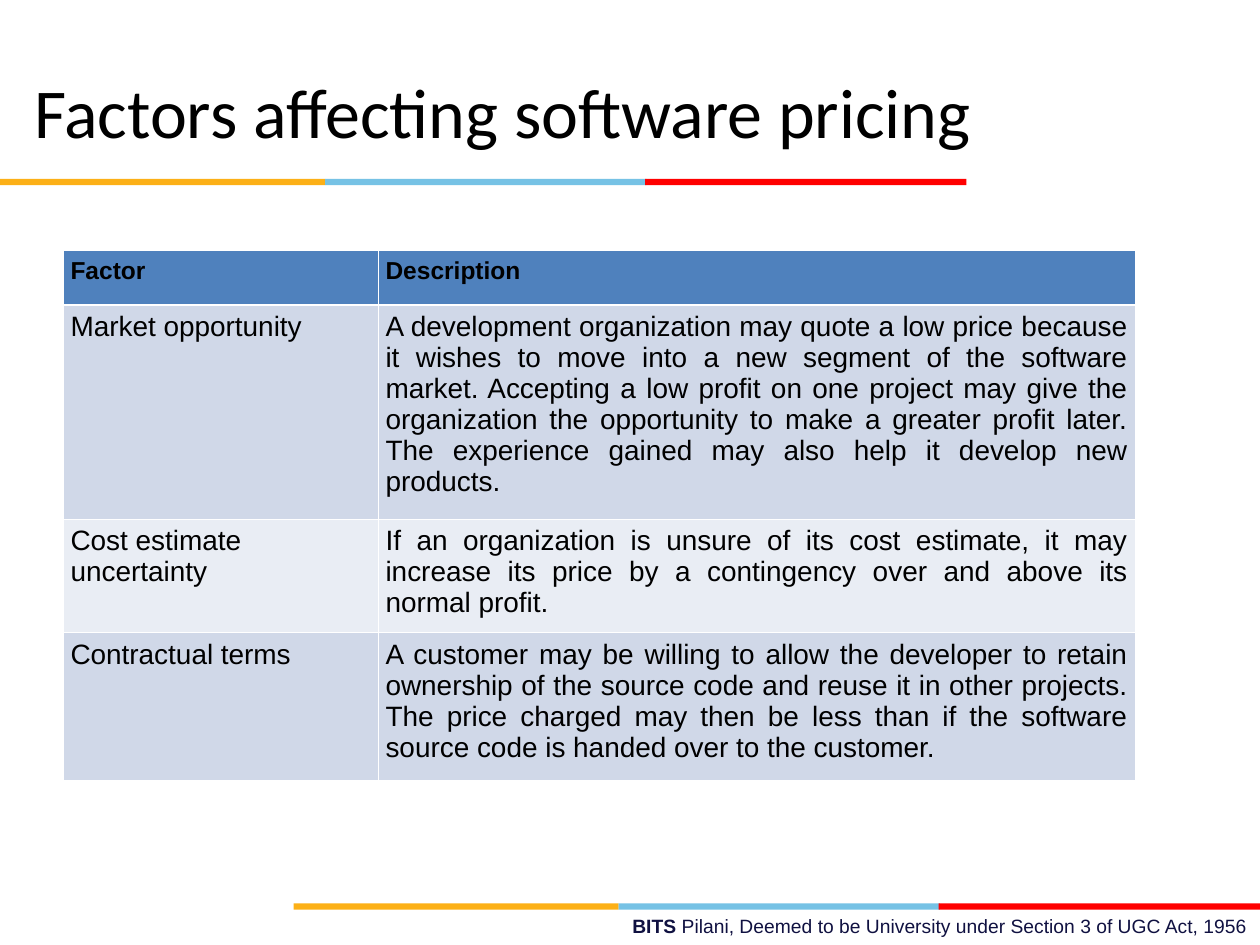
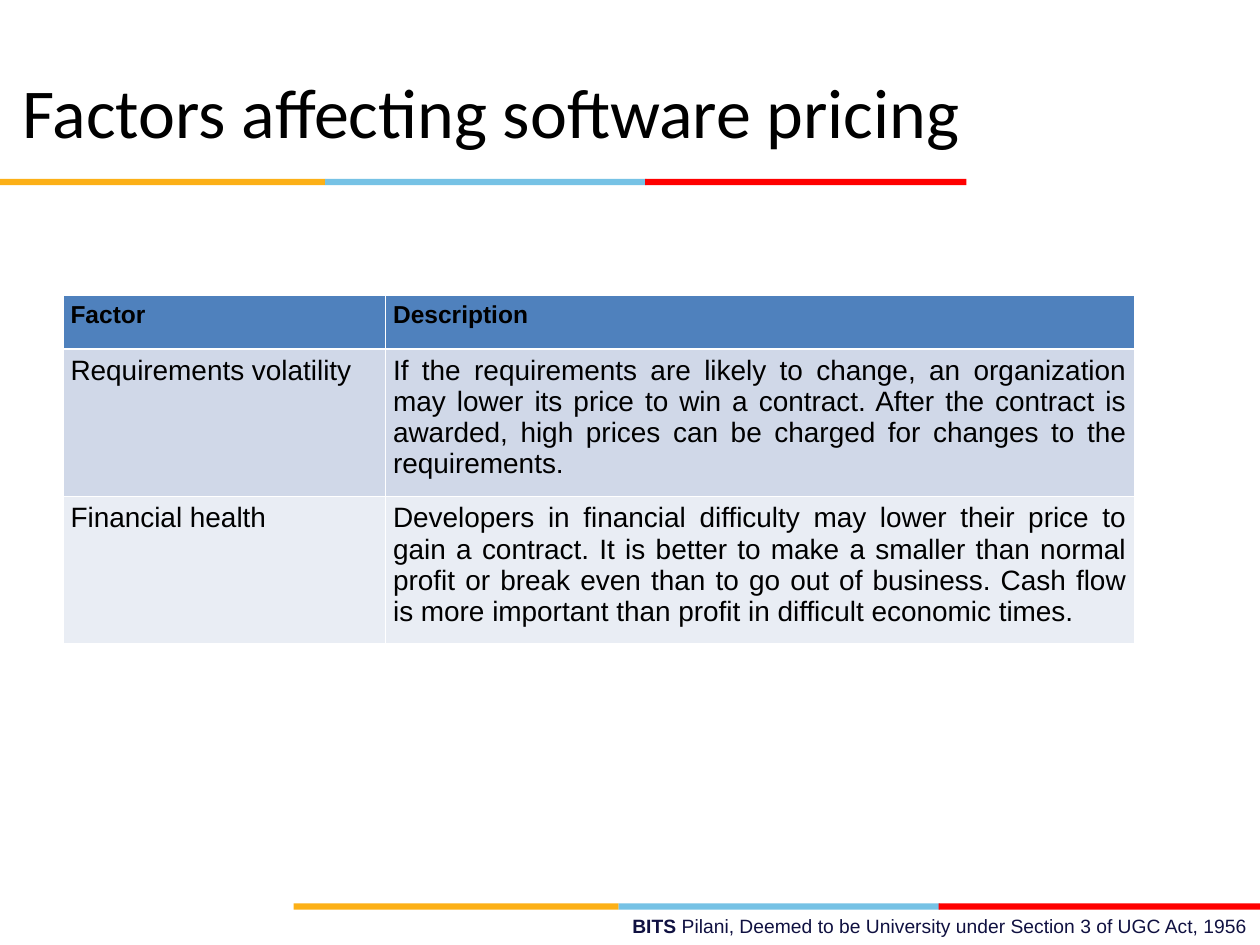
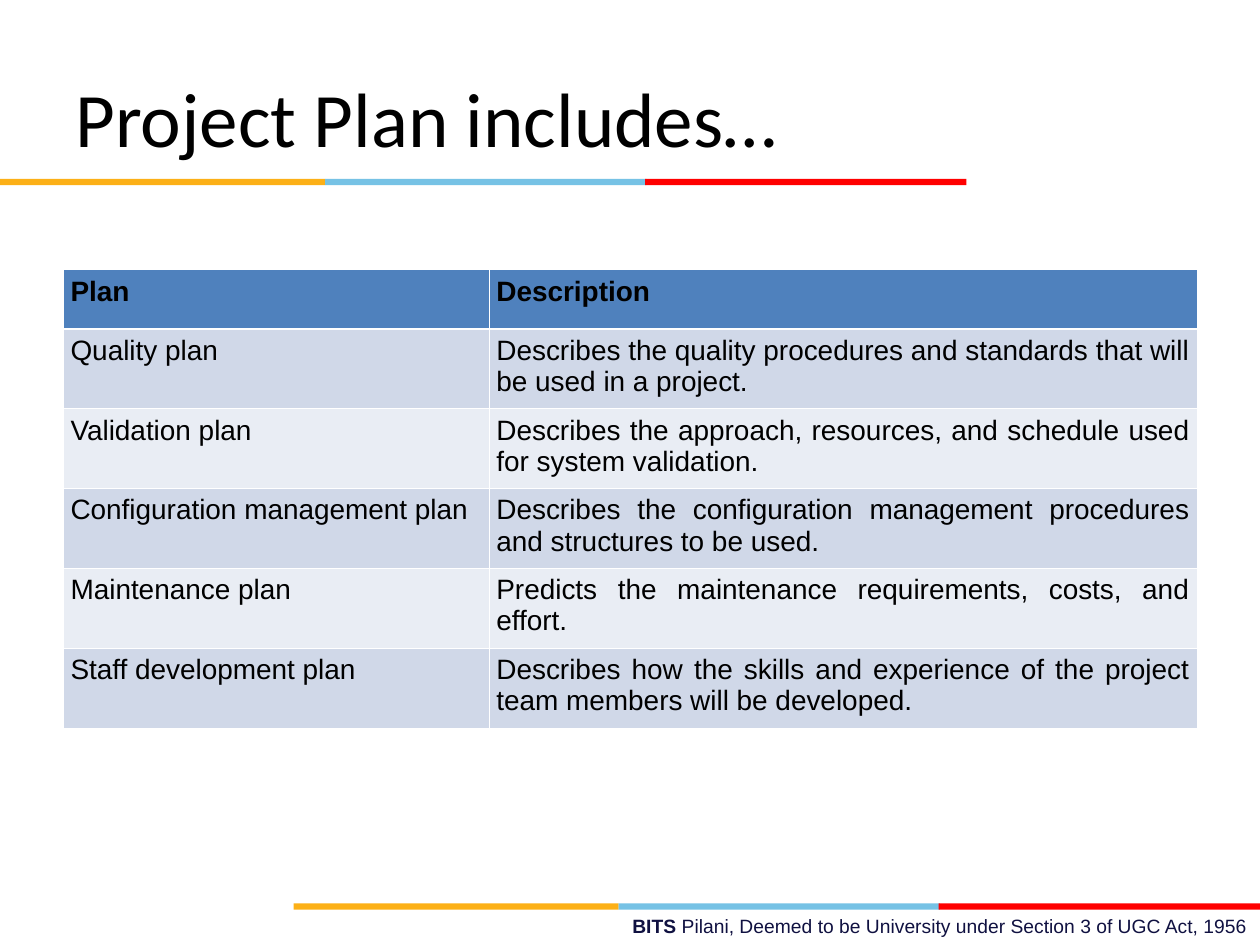
from dataclasses import dataclass

from lxml import etree
from pptx import Presentation
from pptx.dml.color import RGBColor
from pptx.enum import shapes, text
from pptx.oxml import ns
from pptx.util import Inches, Pt

BLACK = RGBColor(0x00, 0x00, 0x00)
WHITE = RGBColor(0xFF, 0xFF, 0xFF)
NAVY = RGBColor(0x10, 0x11, 0x41)
ORANGE = RGBColor(0xFC, 0xB0, 0x17)
SKY = RGBColor(0x76, 0xC2, 0xE5)
RED = RGBColor(0xFF, 0x00, 0x00)
HEADER_BLUE = RGBColor(0x4F, 0x81, 0xBD)
ROW_FILLS = (RGBColor(0xD0, 0xD8, 0xE8), RGBColor(0xE9, 0xED, 0xF4))

BODY_FONT = "Arial"
TITLE_FONT = "Calibri"
BODY_SIZE = 16
THIN, THICK = Pt(0.45), Pt(1.47)
TITLE_ONLY = 5


@dataclass(frozen=True)
class Stripe:
    offset: float
    width: float
    color: RGBColor


@dataclass(frozen=True)
class TableSlide:
    title: str
    title_left: float
    title_top: float
    title_size: int
    table_top: float
    header_size: int
    columns: tuple[float, float]
    heights: tuple[float, ...]
    rows: tuple[tuple[str, str], ...]


STRIPES = (
    Stripe(0, 2.58, ORANGE),
    Stripe(2.58, 2.55, SKY),
    Stripe(5.12, 2.55, RED),
)

SLIDES = (
    TableSlide(
        "Factors affecting software pricing", 0.17, 0.25, 40,
        1.99, 14, (2.5, 6.01), (0.43, 1.7, 0.9, 1.17),
        (
            ("Factor", "Description"),
            ("Market opportunity",
             "A development organization may quote a low price because it wishes to move "
             "into a new segment of the software market. Accepting a low profit on one "
             "project may give the organization the opportunity to make a greater profit "
             "later. The experience gained may also help it develop new products."),
            ("Cost estimate uncertainty",
             "If an organization is unsure of its cost estimate, it may increase its price "
             "by a contingency over and above its normal profit."),
            ("Contractual terms",
             "A customer may be willing to allow the developer to retain ownership of the "
             "source code and reuse it in other projects. The price charged may then be "
             "less than if the software source code is handed over to the customer."),
        ),
    ),
    TableSlide(
        "Factors affecting software pricing", 0.08, 0.25, 40,
        2.34, 14, (2.56, 5.94), (0.43, 1.17, 1.17),
        (
            ("Factor", "Description"),
            ("Requirements volatility",
             "If the requirements are likely to change, an organization may lower its price "
             "to win a contract. After the contract is awarded, high prices can be charged "
             "for changes to the requirements."),
            ("Financial health",
             "Developers in financial difficulty may lower their price to gain a contract. "
             "It is better to make a smaller than normal profit or break even than to go "
             "out of business. Cash flow is more important than profit in difficult "
             "economic times."),
        ),
    ),
    TableSlide(
        "Project Plan includes…", 0.5, 0.3, 44,
        2.14, 16, (3.38, 5.62), (0.47,) + (0.63,) * 5,
        (
            ("Plan", "Description"),
            ("Quality plan",
             "Describes the quality procedures and standards that will be used in a project."),
            ("Validation plan",
             "Describes the approach, resources, and schedule used for system validation."),
            ("Configuration management plan",
             "Describes the configuration management procedures and structures to be used."),
            ("Maintenance plan",
             "Predicts the maintenance requirements, costs, and effort."),
            ("Staff development plan",
             "Describes how the skills and experience of the project team members will be "
             "developed."),
        ),
    ),
)


def style_font(font, name: str, size: int, color: RGBColor, bold: bool = False) -> None:
    font.name = name
    font.size = Pt(size)
    font.color.rgb = color
    font.bold = bold


def add_stripes(page, left: float, top: float) -> None:
    group = page.shapes.add_group_shape()
    for stripe in STRIPES:
        bar = group.shapes.add_shape(
            shapes.MSO_SHAPE.RECTANGLE, Inches(left + stripe.offset), Inches(top),
            Inches(stripe.width), Inches(0.05))
        bar.shadow.inherit = False
        bar.fill.solid()
        bar.fill.fore_color.rgb = stripe.color
        bar.line.fill.background()


def add_footer(page) -> None:
    box = page.shapes.add_textbox(Inches(3.58), Inches(7.21), Inches(6.42), Inches(0.29))
    box.text_frame.word_wrap = True
    para = box.text_frame.paragraphs[0]
    para.alignment = text.PP_ALIGN.RIGHT
    style_font(para.font, BODY_FONT, 11, NAVY)
    name = para.add_run()
    name.text = "BITS "
    name.font.bold = True
    para.add_run().text = "Pilani, Deemed to be University under Section 3 of UGC Act, 1956"


def set_title(page, content: TableSlide) -> None:
    title = page.shapes.title
    title.left, title.top = Inches(content.title_left), Inches(content.title_top)
    title.width, title.height = Inches(9), Inches(1.25)
    frame = title.text_frame
    frame.text = content.title
    frame.auto_size = text.MSO_AUTO_SIZE.NONE
    frame.vertical_anchor = text.MSO_ANCHOR.MIDDLE
    para = frame.paragraphs[0]
    para.alignment = text.PP_ALIGN.LEFT
    style_font(para.font, TITLE_FONT, content.title_size, BLACK)


def set_borders(cell, top: int, bottom: int) -> None:
    """Draw white cell borders; they must come before the fill in the XML."""
    properties = cell._tc.get_or_add_tcPr()
    widths = {"lnL": THIN, "lnR": THIN, "lnT": top, "lnB": bottom}
    for position, (tag, width) in enumerate(widths.items()):
        line = etree.Element(ns.qn(f"a:{tag}"), w=str(int(width)))
        fill = etree.SubElement(line, ns.qn("a:solidFill"))
        etree.SubElement(fill, ns.qn("a:srgbClr"), val=str(WHITE))
        properties.insert(position, line)


def fill_cell(cell, words: str, row: int, column: int, size: int) -> None:
    header = row == 0
    cell.text = words
    cell.margin_left = cell.margin_right = Inches(0.06)
    cell.margin_top = cell.margin_bottom = Inches(0.05)
    cell.fill.solid()
    cell.fill.fore_color.rgb = HEADER_BLUE if header else ROW_FILLS[(row - 1) % 2]
    para = cell.text_frame.paragraphs[0]
    justified = header or column == 1
    para.alignment = text.PP_ALIGN.JUSTIFY if justified else text.PP_ALIGN.LEFT
    style_font(para.font, BODY_FONT, size, BLACK, bold=header)
    set_borders(cell, top=THICK if row == 1 else THIN, bottom=THICK if header else THIN)


def add_description_table(page, content: TableSlide) -> None:
    table = page.shapes.add_table(
        len(content.rows), len(content.columns), Inches(0.5), Inches(content.table_top),
        Inches(sum(content.columns)), Inches(sum(content.heights))).table
    for column, width in zip(table.columns, content.columns):
        column.width = Inches(width)
    for row, height in zip(table.rows, content.heights):
        row.height = Inches(height)
    for row, entries in enumerate(content.rows):
        size = content.header_size if row == 0 else BODY_SIZE
        for column, words in enumerate(entries):
            fill_cell(table.cell(row, column), words, row, column, size)


def main() -> None:
    deck = Presentation()
    deck.slide_width, deck.slide_height = Inches(10), Inches(7.5)
    for content in SLIDES:
        page = deck.slides.add_slide(deck.slide_layouts[TITLE_ONLY])
        add_footer(page)
        add_stripes(page, 2.33, 7.17)
        add_stripes(page, 0, 1.42)
        set_title(page, content)
        add_description_table(page, content)
    deck.save("out.pptx")


if __name__ == "__main__":
    main()
